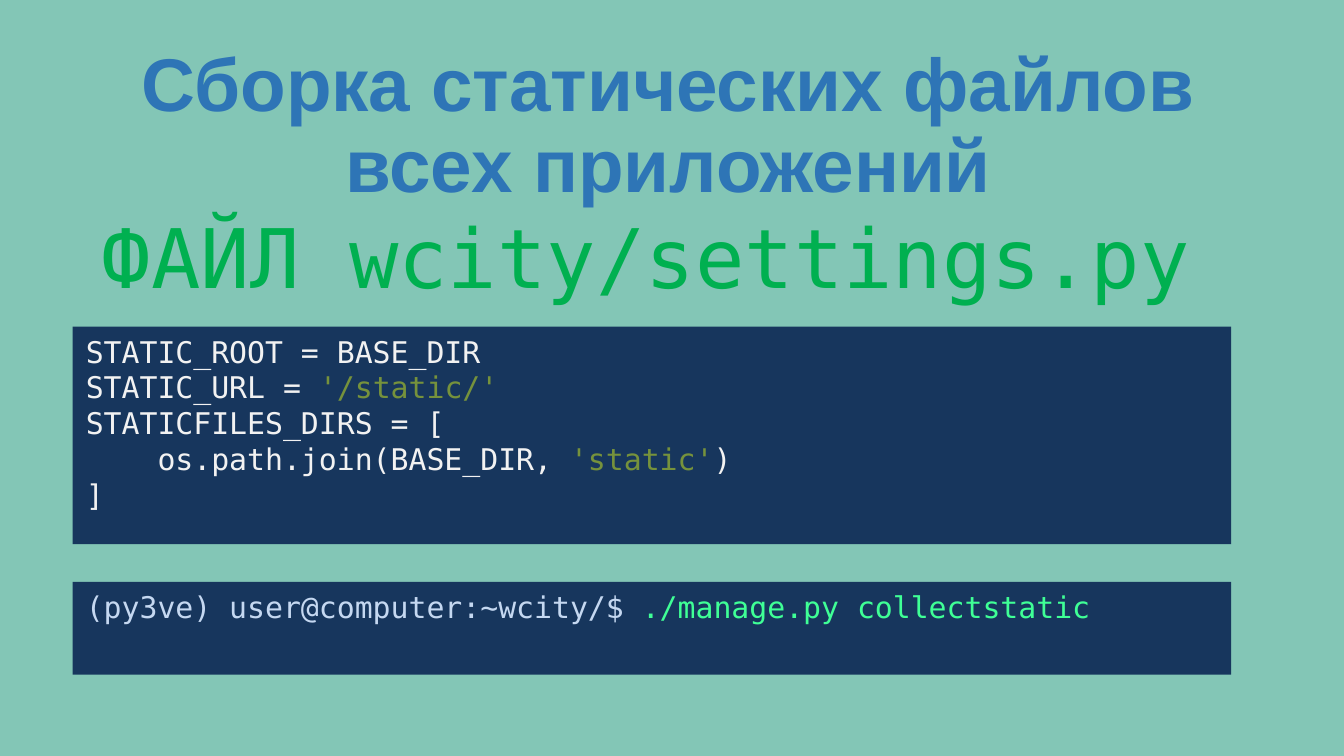
from dataclasses import dataclass

from pptx import Presentation
from pptx.dml.color import RGBColor
from pptx.enum.shapes import MSO_SHAPE
from pptx.enum.text import MSO_ANCHOR, PP_ALIGN
from pptx.util import Inches, Pt

BACKGROUND = "83C6B6"
TITLE_BLUE = "2E75B6"
FILE_GREEN = "00B050"
PANEL_NAVY = "17365D"
CODE_WHITE = "F2F2F2"
STRING_OLIVE = "76923C"
PROMPT_BLUE = "C5D8F1"
COMMAND_GREEN = "3FFF96"
MONO = "DejaVu Sans Mono"
PANEL_LEFT, PANEL_WIDTH = 0.54, 8.62


@dataclass
class Span:
    text: str
    color: str


@dataclass
class CodePanel:
    top: float
    height: float
    lines: list[list[Span]]


PANELS = [
    CodePanel(2.43, 1.62, [
        [Span("STATIC_ROOT = BASE_DIR", CODE_WHITE)],
        [Span("STATIC_URL = ", CODE_WHITE), Span("'/static/'", STRING_OLIVE)],
        [Span("STATICFILES_DIRS = [", CODE_WHITE)],
        [Span("    os.path.join(BASE_DIR, ", CODE_WHITE),
         Span("'static'", STRING_OLIVE), Span(")", CODE_WHITE)],
        [Span("]", CODE_WHITE)],
    ]),
    CodePanel(4.33, 0.69, [
        [Span("(py3ve) user@computer:~wcity/$ ", PROMPT_BLUE),
         Span("./manage.py collectstatic", COMMAND_GREEN)],
    ]),
]


def paint(target, color: str) -> None:
    """Give a fill a solid colour."""
    target.solid()
    target.fore_color.rgb = RGBColor.from_string(color)


def set_font(font, name: str, size: float) -> None:
    font.name = name
    font.size = Pt(size)


def draw_title(page, lines: list[str]) -> None:
    title = page.shapes.title
    title.left, title.top = Inches(0.66), Inches(0.3)
    title.width, title.height = Inches(8.62), Inches(1.08)
    frame = title.text_frame
    frame.word_wrap = True
    frame.vertical_anchor = MSO_ANCHOR.TOP
    frame.text = "\n".join(lines)
    for para in frame.paragraphs:
        para.alignment = PP_ALIGN.CENTER
        para.line_spacing = 0.9
        para.space_before = Pt(0)
        set_font(para.font, "Arial", 40)
        para.font.bold = True
        paint(para.font.fill, TITLE_BLUE)


def draw_file_name(page, text: str) -> None:
    box = page.shapes.add_textbox(Inches(0.66), Inches(1.49),
                                  Inches(8.38), Inches(0.84))
    box.text_frame.word_wrap = True
    para = box.text_frame.paragraphs[0]
    para.text = text
    set_font(para.font, MONO, 44)
    paint(para.font.fill, FILE_GREEN)


def draw_panel(page, panel: CodePanel) -> None:
    box = page.shapes.add_shape(MSO_SHAPE.RECTANGLE, Inches(PANEL_LEFT), Inches(panel.top),
                                Inches(PANEL_WIDTH), Inches(panel.height))
    box.shadow.inherit = False
    paint(box.fill, PANEL_NAVY)
    box.line.fill.background()
    frame = box.text_frame
    frame.word_wrap = True
    frame.vertical_anchor = MSO_ANCHOR.TOP
    for index, line in enumerate(panel.lines):
        para = frame.add_paragraph() if index else frame.paragraphs[0]
        para.alignment = PP_ALIGN.LEFT
        set_font(para.font, MONO, 16)
        for span in line:
            run = para.add_run()
            run.text = span.text
            paint(run.font.fill, span.color)


def main() -> None:
    deck = Presentation()
    deck.slide_width = Inches(10)
    deck.slide_height = deck.slide_width * 9 // 16  # widescreen
    page = deck.slides.add_slide(deck.slide_layouts[5])  # title only
    paint(page.background.fill, BACKGROUND)

    # Heading and file name
    draw_title(page, ["Сборка статических файлов", "всех приложений"])
    draw_file_name(page, "ФАЙЛ wcity/settings.py")

    # Settings code and terminal command
    for panel in PANELS:
        draw_panel(page, panel)

    deck.save("out.pptx")


if __name__ == "__main__":
    main()
